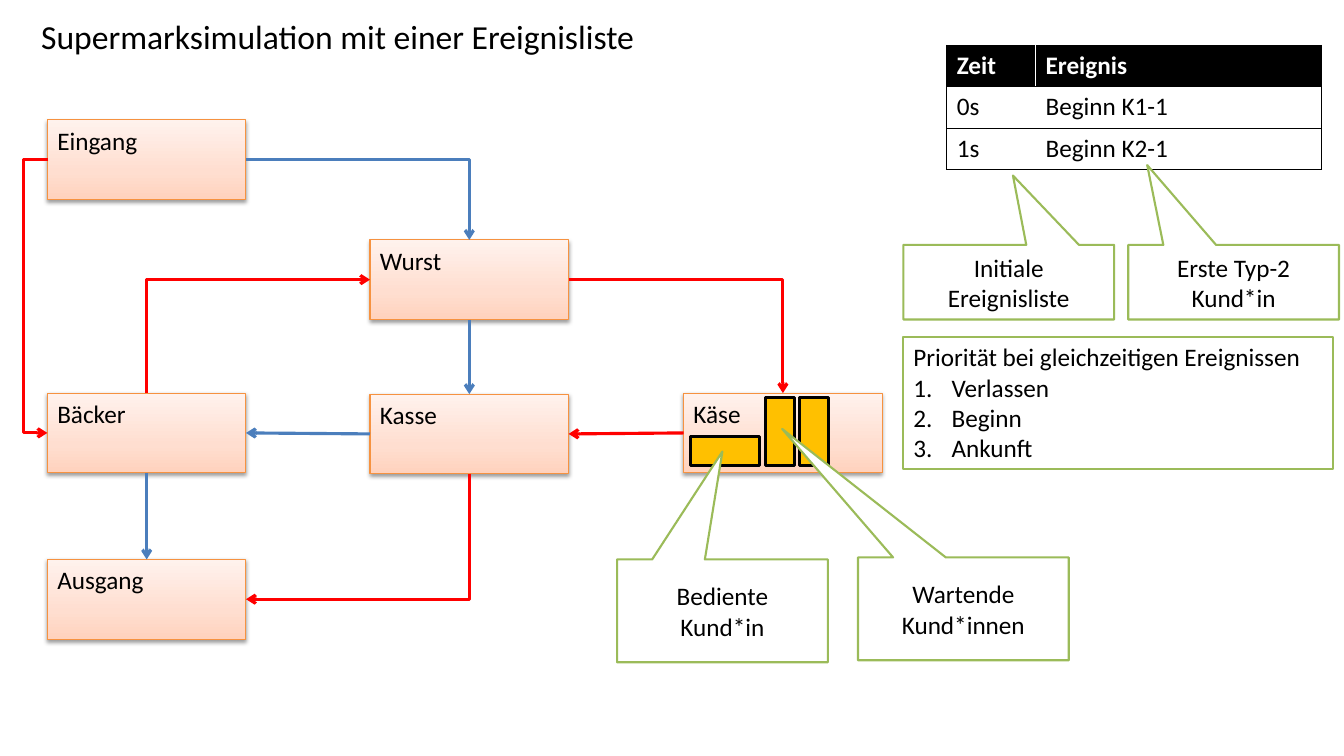
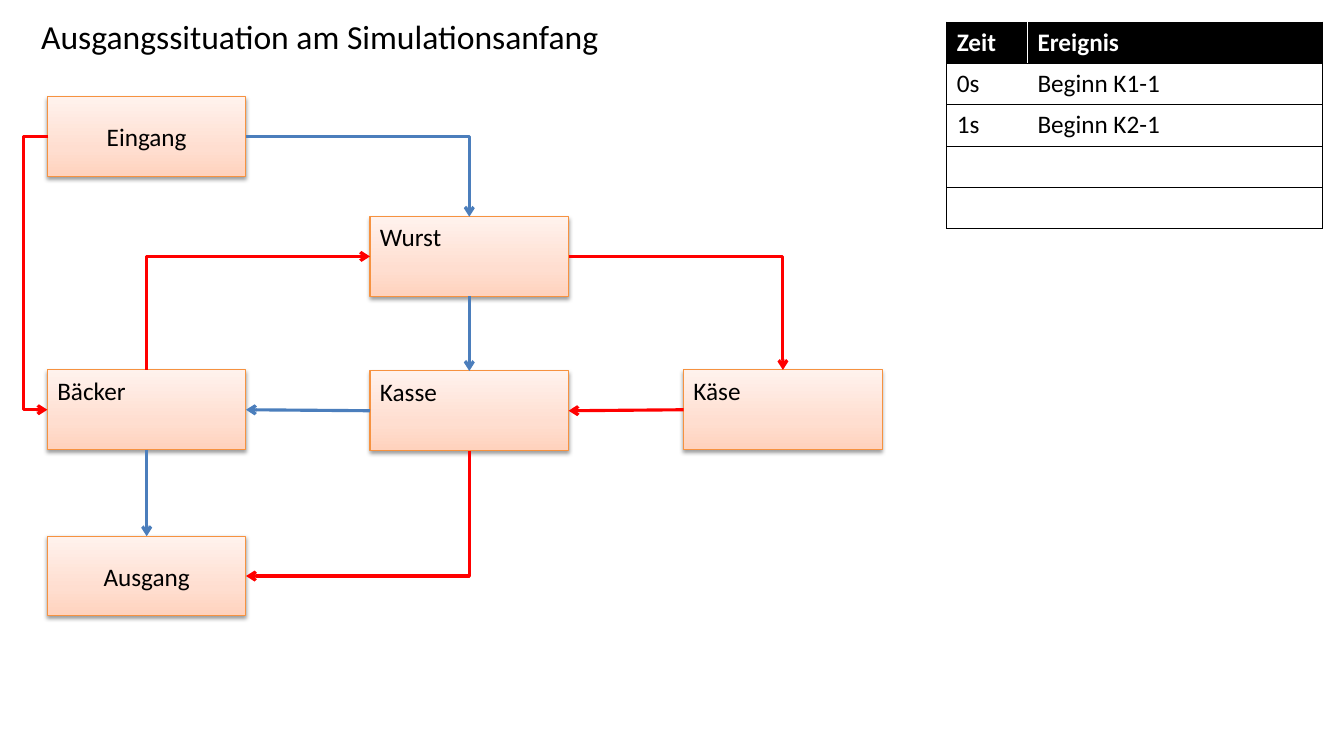
from pptx import Presentation
from pptx.dml.color import RGBColor
from pptx.enum import shapes, text
from pptx.oxml import parse_xml
from pptx.oxml.ns import nsdecls, qn
from pptx.util import Inches, Pt

FONT = "Calibri"
BLACK = RGBColor(0x00, 0x00, 0x00)
WHITE = RGBColor(0xFF, 0xFF, 0xFF)
ORANGE = RGBColor(0xF6, 0x92, 0x40)
BLUE = RGBColor(0x4B, 0x7E, 0xBC)
RED = RGBColor(0xFF, 0x00, 0x00)
GREEN = RGBColor(0x9B, 0xBB, 0x59)
YELLOW = RGBColor(0xFF, 0xC0, 0x00)
STATION_GRADIENT = [(0, "FFD2BD"), (35, "FFDED0"), (100, "FFF2ED")]

TOP, BOTTOM, LEFT, RIGHT = 0, 2, 1, 3
STATION_SIZE = (1.97, 0.79)
STATIONS = {
    "Bäcker": (0.47, 2.71),
    "Eingang": (0.47, 0),
    "Wurst": (3.67, 1.19),
    "Käse": (6.78, 2.71),
    "Kasse": (3.67, 2.72),
    "Ausgang": (0.47, 4.36),
}
ROUTES = [
    ("Eingang", RIGHT, "Wurst", TOP, BLUE),
    ("Wurst", BOTTOM, "Kasse", TOP, BLUE),
    ("Wurst", RIGHT, "Käse", TOP, RED),
    ("Käse", LEFT, "Kasse", RIGHT, RED),
    ("Kasse", LEFT, "Bäcker", RIGHT, BLUE),
    ("Bäcker", BOTTOM, "Ausgang", TOP, BLUE),
    ("Bäcker", TOP, "Wurst", LEFT, RED),
    ("Eingang", LEFT, "Bäcker", LEFT, RED),
    ("Kasse", BOTTOM, "Ausgang", RIGHT, RED),
]
DETOUR_WIDTH, DETOUR_REACH = 0.01, 0.25

EVENTS = [("Zeit", "Ereignis"), ("0s", "Beginn K1-1"), ("1s", "Beginn K2-1")]
ROW_HEIGHT = 0.41
SLIDES = [
    {"title": "Supermarksimulation mit einer Ereignisliste", "plan_top": 1.19,
     "centred": (), "table_top": 0.45, "columns": (0.88, 2.84), "events": EVENTS},
    {"title": "Ausgangssituation am Simulationsanfang", "plan_top": 0.96,
     "centred": ("Eingang", "Ausgang"), "table_top": 0.22, "columns": (0.8, 2.93),
     "events": EVENTS + [("", "")] * 2},
]
CUSTOMERS = [(6.85, 4.33, 0.68, 0.29), (7.59, 3.94, 0.29, 0.68), (7.93, 3.94, 0.29, 0.68)]
CALLOUTS = [
    (["Initiale Ereignisliste"], (8.96, 2.43, 2.09, 0.74), (0.02, -1.43)),
    (["Erste Typ-2 Kund*in"], (11.19, 2.43, 2.09, 0.74), (-0.41, -1.57)),
    (["Bediente", "Kund*in"], (6.12, 5.55, 2.09, 1.02), (0, -1.55)),
    (["Wartende", "Kund*innen"], (8.51, 5.53, 2.09, 1.02), (-0.86, -1.75)),
]
PRIORITY_HEADING = "Priorität bei gleichzeitigen Ereignissen"
PRIORITIES = ["Verlassen", "Beginn", "Ankunft"]


def write(frame, lines, centred=False, size=18, colour=BLACK, bold=False):
    frame.word_wrap = True
    for number, line in enumerate(lines):
        para = frame.add_paragraph() if number else frame.paragraphs[0]
        para.text = line
        para.alignment = text.PP_ALIGN.CENTER if centred else text.PP_ALIGN.LEFT
        para.font.name, para.font.size = FONT, Pt(size)
        para.font.bold, para.font.color.rgb = bold, colour


def add_box(page, place, line_colour, line_width, fill=None, kind=shapes.MSO_SHAPE.RECTANGLE):
    box = page.shapes.add_shape(kind, *map(Inches, place))
    box.shadow.inherit = False
    if fill is not None:
        box.fill.solid()
        box.fill.fore_color.rgb = fill
    box.line.color.rgb = line_colour
    box.line.width = Pt(line_width)
    return box


def add_title(page, title):
    box = page.shapes.add_textbox(*map(Inches, (0.31, 0.11, 12.77, 0.55)))
    write(box.text_frame, [title], size=24)
    box.text_frame.vertical_anchor = text.MSO_ANCHOR.MIDDLE
    box.text_frame.paragraphs[0].line_spacing = 0.9


def add_station(page, name, place, centred):
    box = add_box(page, place, ORANGE, 0.75)
    stops = "".join(f'<a:gs pos="{pos * 1000}"><a:srgbClr val="{colour}"/></a:gs>'
                    for pos, colour in STATION_GRADIENT)
    properties = box._element.spPr
    properties.find(qn("a:prstGeom")).addnext(parse_xml(
        f'<a:gradFill {nsdecls("a")} rotWithShape="1"><a:gsLst>{stops}</a:gsLst>'
        '<a:lin ang="16200000" scaled="0"/></a:gradFill>'))
    properties.find(qn("a:effectLst")).append(parse_xml(
        f'<a:outerShdw {nsdecls("a")} blurRad="{Pt(3.1)}" dist="{Pt(1.6)}" dir="5400000" '
        'rotWithShape="0"><a:srgbClr val="000000"><a:alpha val="38000"/></a:srgbClr></a:outerShdw>'))
    box.text_frame.vertical_anchor = text.MSO_ANCHOR.MIDDLE if centred else text.MSO_ANCHOR.TOP
    write(box.text_frame, [name], centred)
    return box


def bend(connector, start_side, end_side):
    properties = connector._element.spPr
    frame = properties.find(qn("a:xfrm"))
    geometry = properties.find(qn("a:prstGeom"))
    if start_side == end_side:
        connector.width = Inches(DETOUR_WIDTH)
        frame.set("flipH", "1")
        reach = round(DETOUR_REACH / DETOUR_WIDTH * 100000)
        geometry.find(qn("a:avLst")).append(parse_xml(
            f'<a:gd {nsdecls("a")} name="adj1" fmla="val {reach}"/>'))
        return
    geometry.set("prst", "bentConnector2")
    if start_side in (TOP, BOTTOM):
        run = connector.end_x - connector.begin_x
        rise = connector.end_y - connector.begin_y
        middle_x = (connector.begin_x + connector.end_x) // 2
        middle_y = (connector.begin_y + connector.end_y) // 2
        connector.width, connector.height = abs(rise), abs(run)
        connector.left = middle_x - abs(rise) // 2
        connector.top = middle_y - abs(run) // 2
        frame.set("rot", "5400000")
        frame.set("flipH", str(int(rise < 0)))
        frame.set("flipV", str(int(run > 0)))


def add_route(page, start, start_side, end, end_side, colour):
    straight = start_side != end_side and start_side % 2 == end_side % 2
    kind = shapes.MSO_CONNECTOR.STRAIGHT if straight else shapes.MSO_CONNECTOR.ELBOW
    connector = page.shapes.add_connector(kind, 0, 0, 0, 0)
    connector.begin_connect(start, start_side)
    connector.end_connect(end, end_side)
    if not straight:
        bend(connector, start_side, end_side)
    connector.line.color.rgb = colour
    connector.line.width = Pt(2.25)
    properties = connector._element.spPr
    properties.find(qn("a:ln")).append(parse_xml(f'<a:tailEnd {nsdecls("a")} type="arrow"/>'))
    properties.append(parse_xml(f'<a:effectLst {nsdecls("a")}/>'))


def add_plan(page, top, centred):
    boxes = {name: add_station(page, name, (left, top + offset, *STATION_SIZE), name in centred)
             for name, (left, offset) in STATIONS.items()}
    for start, start_side, end, end_side, colour in ROUTES:
        add_route(page, boxes[start], start_side, boxes[end], end_side, colour)


def add_event_table(page, top, columns, events):
    place = (9.39, top, sum(columns), ROW_HEIGHT * len(events))
    table = page.shapes.add_table(len(events), len(columns), *map(Inches, place)).table
    table.horz_banding = False
    for column, width in zip(table.columns, columns):
        column.width = Inches(width)
    for row, values in enumerate(events):
        table.rows[row].height = Inches(ROW_HEIGHT)
        for column, value in enumerate(values):
            cell = table.cell(row, column)
            header = row == 0
            write(cell.text_frame, [value], colour=WHITE if header else BLACK, bold=header)
            cell.fill.solid()
            cell.fill.fore_color.rgb = BLACK if header else WHITE
            sides = ("lnR" if column else "lnL", "lnT", "lnB")
            for position, side in enumerate(sides):
                cell._tc.tcPr.insert(position, parse_xml(
                    f'<a:{side} {nsdecls("a")} w="{Pt(0.75)}"><a:solidFill>'
                    f'<a:srgbClr val="{BLACK}"/></a:solidFill></a:{side}>'))


def add_callout(page, lines, place, tip):
    box = add_box(page, place, GREEN, 1.5, WHITE, shapes.MSO_SHAPE.RECTANGULAR_CALLOUT)
    box.adjustments[0], box.adjustments[1] = tip
    box.text_frame.vertical_anchor = text.MSO_ANCHOR.MIDDLE
    write(box.text_frame, lines, centred=True)


def add_priorities(page):
    box = add_box(page, (8.96, 3.34, 4.26, 1.31), GREEN, 1.5, WHITE)
    box.text_frame.vertical_anchor = text.MSO_ANCHOR.TOP
    write(box.text_frame, [PRIORITY_HEADING] + PRIORITIES)
    for para in box.text_frame.paragraphs[1:]:
        properties = para._p.get_or_add_pPr()
        properties.set("marL", str(Inches(0.38)))
        properties.set("indent", str(-Inches(0.38)))
        properties.insert(0, parse_xml(f'<a:buAutoNum {nsdecls("a")} type="arabicPeriod"/>'))


def main():
    deck = Presentation()
    deck.slide_width, deck.slide_height = Inches(13.33), Inches(7.5)
    pages = []
    for content in SLIDES:
        page = deck.slides.add_slide(deck.slide_layouts[6])
        add_title(page, content["title"])
        add_plan(page, content["plan_top"], content["centred"])
        add_event_table(page, content["table_top"], content["columns"], content["events"])
        pages.append(page)
    for place in CUSTOMERS:
        add_box(pages[0], place, BLACK, 2, YELLOW)
    for lines, place, tip in CALLOUTS:
        add_callout(pages[0], lines, place, tip)
    add_priorities(pages[0])
    deck.save("out.pptx")


if __name__ == "__main__":
    main()
